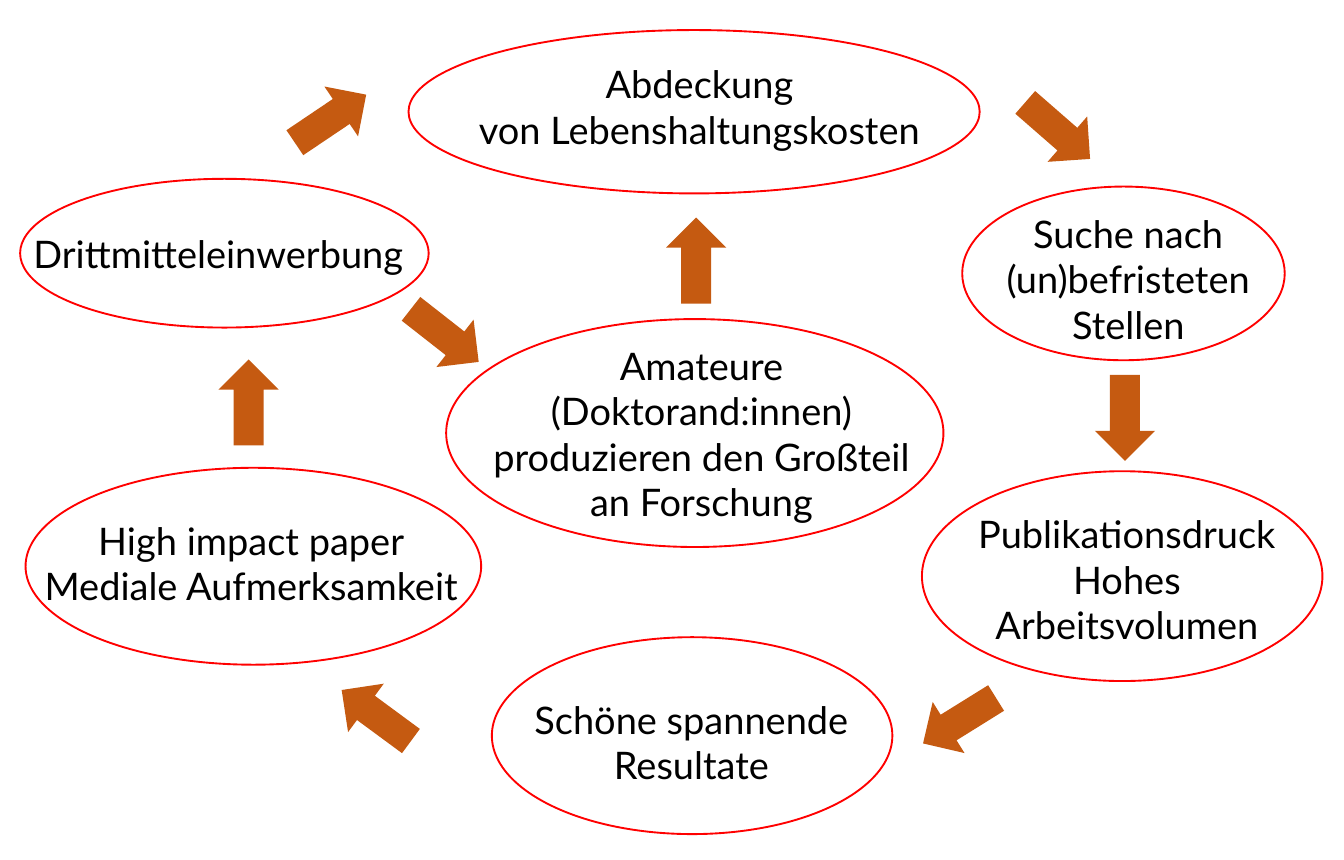
"""Build a slide showing the cycle of funding, jobs and publications in research."""
from dataclasses import dataclass

from pptx import Presentation
from pptx.dml.color import RGBColor
from pptx.enum.shapes import MSO_SHAPE
from pptx.enum.text import PP_ALIGN
from pptx.util import Inches, Length, Pt

SLIDE_WIDTH = Inches(9.84)
SLIDE_HEIGHT = Inches(6.3)


@dataclass(frozen=True)
class Theme:
    font: str = "Lato"
    text_size: int = 20
    outline_width: int = 1
    text: RGBColor = RGBColor(0, 0, 0)
    outline: RGBColor = RGBColor(255, 0, 0)
    arrow: RGBColor = RGBColor(0xC5, 0x5A, 0x11)


@dataclass(frozen=True)
class Area:
    """Position and size in percent of the slide."""
    left: float
    top: float
    width: float
    height: float

    def emu(self) -> tuple[Length, Length, Length, Length]:
        return (across(self.left), down(self.top),
                across(self.width), down(self.height))


@dataclass(frozen=True)
class Station:
    lines: tuple[str, ...]
    rows: int
    label_left: float
    label_top: float
    label_width: float
    ellipse: Area


@dataclass(frozen=True)
class Step:
    center_x: float
    center_y: float
    angle: float


THEME = Theme()
LABEL_PADDING = 1.6
LABEL_ROW = 5.35
ARROW_WIDTH = 6.4
ARROW_HEIGHT = 7

STATIONS = (
    Station(("Abdeckung", "von Lebenshaltungskosten"), 2,
            30.8, 6.3, 42.5, Area(30.4, 3.5, 42.5, 19)),
    Station(("Suche nach", "(un)befristeten", "Stellen"), 3,
            69.6, 23.7, 28.7, Area(71.6, 21.7, 24, 20.2)),
    Station(("Publikationsdruck", "Hohes Arbeitsvolumen"), 3,
            69.5, 58.6, 28.7, Area(68.6, 54.8, 29.8, 24.4)),
    Station(("Schöne spannende", "Resultate"), 2,
            37.1, 80.2, 28.7, Area(36.6, 74.1, 29.8, 22.9)),
    Station(("High impact paper", "Mediale Aufmerksamkeit"), 2,
            2.1, 59.4, 33.2, Area(1.9, 54.4, 33.9, 22.9)),
    Station(("Drittmitteleinwerbung",), 1,
            1.1, 26, 30.3, Area(1.5, 20.8, 30.4, 17.3)),
    Station(("Amateure", "(Doktorand:innen)", "produzieren den Großteil", "an Forschung"), 4,
            35.6, 39, 33.2, Area(33.2, 37.1, 37, 26.5)),
)

STEPS = (
    Step(78.7, 15.2, 41.1),
    Step(83.7, 48.6, 90),
    Step(71.4, 83.8, 148.1),
    Step(28, 83.2, 216.4),
    Step(18.5, 46.8, 270),
    Step(24.6, 13.8, 326),
    Step(51.8, 30.3, 270),
    Step(33.1, 39, 38.1),
)


def across(percent: float) -> Length:
    return Length(round(SLIDE_WIDTH * percent / 100))


def down(percent: float) -> Length:
    return Length(round(SLIDE_HEIGHT * percent / 100))


def write_text(slide, lines: tuple[str, ...], area: Area, *, font: str = THEME.font,
               size: int = THEME.text_size, color: RGBColor = THEME.text,
               align: PP_ALIGN = PP_ALIGN.CENTER) -> None:
    frame = slide.shapes.add_textbox(*area.emu()).text_frame
    frame.word_wrap = True
    frame.text = "\n".join(lines)
    for paragraph in frame.paragraphs:
        paragraph.alignment = align
        for run in paragraph.runs:
            run.font.name = font
            run.font.size = Pt(size)
            run.font.color.rgb = color


def draw_station(slide, station: Station) -> None:
    label_height = LABEL_PADDING + LABEL_ROW * station.rows
    write_text(slide, station.lines, Area(station.label_left, station.label_top,
                                          station.label_width, label_height))
    ellipse = slide.shapes.add_shape(MSO_SHAPE.OVAL, *station.ellipse.emu())
    ellipse.shadow.inherit = False
    ellipse.fill.background()
    ellipse.line.color.rgb = THEME.outline
    ellipse.line.width = Pt(THEME.outline_width)


def draw_step(slide, step: Step) -> None:
    area = Area(step.center_x - ARROW_WIDTH / 2, step.center_y - ARROW_HEIGHT / 2,
                ARROW_WIDTH, ARROW_HEIGHT)
    arrow = slide.shapes.add_shape(MSO_SHAPE.RIGHT_ARROW, *area.emu())
    arrow.shadow.inherit = False
    arrow.rotation = step.angle
    arrow.fill.solid()
    arrow.fill.fore_color.rgb = THEME.arrow
    arrow.line.fill.background()


def main() -> None:
    deck = Presentation()
    deck.slide_width = SLIDE_WIDTH
    deck.slide_height = SLIDE_HEIGHT
    slide = deck.slides.add_slide(deck.slide_layouts[6])
    for station in STATIONS:
        draw_station(slide, station)
    for step in STEPS:
        draw_step(slide, step)
    deck.save("out.pptx")


if __name__ == "__main__":
    main()
